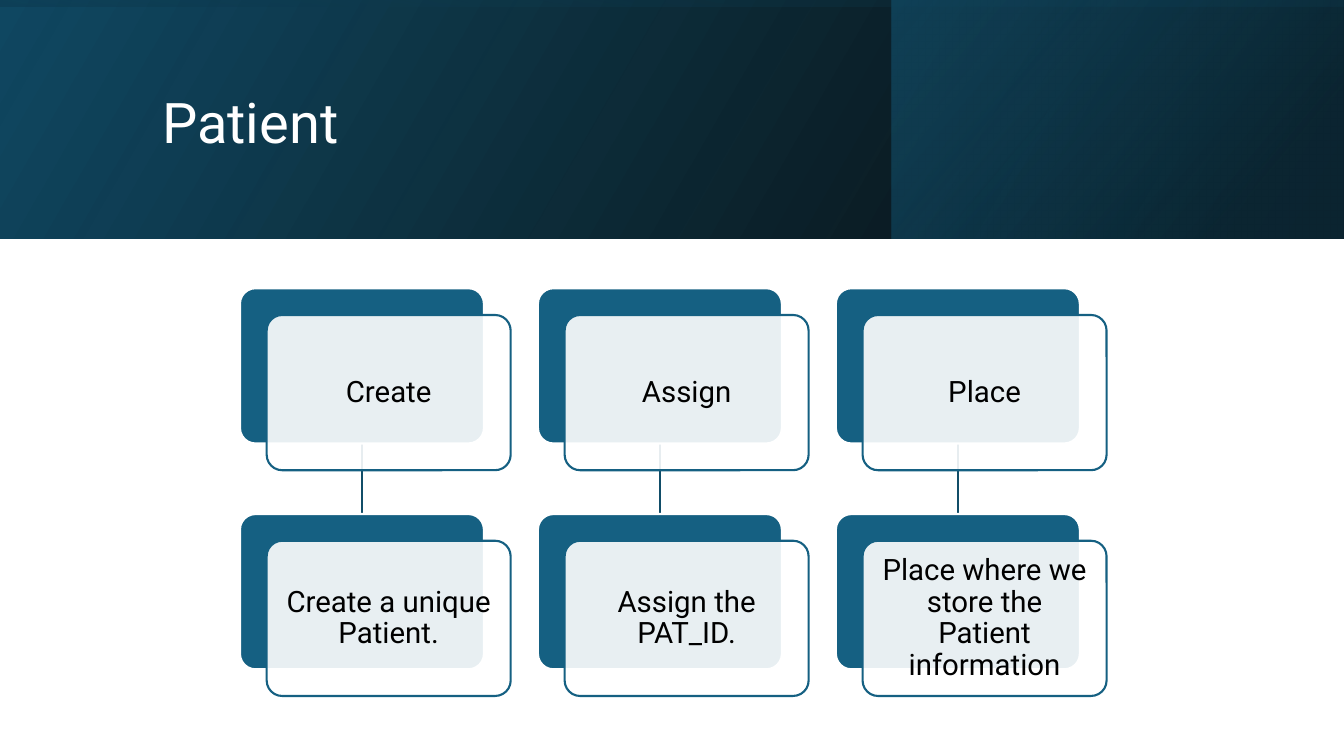
from dataclasses import dataclass

from lxml.etree import SubElement
from pptx import Presentation
from pptx.dml.color import RGBColor
from pptx.enum.shapes import MSO_CONNECTOR, MSO_SHAPE
from pptx.enum.text import MSO_ANCHOR, MSO_AUTO_SIZE, PP_ALIGN
from pptx.oxml.ns import qn
from pptx.util import Inches, Pt

BLUE, WHITE, LINK = "156082", "FFFFFF", "114D68"
CARD_W, CARD_H = 2.42, 1.54
LEFT, COLUMN_STEP = 2.38, 2.955
TOP, ROW_STEP = 2.86, 2.24
OFFSET = 0.265


@dataclass
class Stop:
    position: float
    color: str
    opacity: int


@dataclass
class Band:
    box: tuple[float, float, float, float]
    stops: tuple[Stop, Stop]
    angle: int  # clockwise degrees
    rotation: int = 0


@dataclass
class Step:
    name: str
    detail: str


BANDS = [
    Band((0, 0, 13.33, 2.37), (Stop(0, "000000", 96), Stop(1, "104862", 100)), 330),
    Band((8.84, 0, 4.48, 2.37), (Stop(0.19, "0B3041", 68), Stop(1, BLUE, 48)), 320),
    Band((5.48, -5.48, 2.37, 13.33),
         (Stop(0.23, "104862", 16), Stop(0.99, "000000", 45)), 350, 270),
]
STEPS = [
    Step("Create", "Create a unique Patient."),
    Step("Assign", "Assign the PAT_ID."),
    Step("Place", "Place where we store the Patient information"),
]


def rgb(color: str) -> RGBColor:
    return RGBColor.from_string(color)


def set_opacity(s, *percents: int) -> None:
    """Give the fill colours of a shape, in order, their opacity."""
    colors = list(s._element.spPr.iter(qn("a:srgbClr")))
    for color, percent in zip(colors, percents):
        SubElement(color, qn("a:alpha")).set("val", str(percent * 1000))


def write(s, text: str, *, size: float, color: str, align=PP_ALIGN.LEFT,
          inset: float = 0.1) -> None:
    tf = s.text_frame
    tf.word_wrap = True
    tf.auto_size = MSO_AUTO_SIZE.NONE
    tf.vertical_anchor = MSO_ANCHOR.MIDDLE
    tf.margin_left = tf.margin_right = Inches(inset)
    p = tf.paragraphs[0]
    p.alignment = align
    p.line_spacing = 0.9
    r = p.add_run()
    r.text = text
    r.font.name = "Roboto"
    r.font.size = Pt(size)
    r.font.color.rgb = rgb(color)


def add_band(slide, band: Band) -> None:
    s = slide.shapes.add_shape(MSO_SHAPE.RECTANGLE, *map(Inches, band.box))
    s.shadow.inherit = False
    s.line.fill.background()
    s.rotation = band.rotation
    s._element.spPr.find(qn("a:xfrm")).set("flipH", "1")
    s.fill.gradient()
    s.fill.gradient_angle = 360 - band.angle
    for target, stop in zip(s.fill.gradient_stops, band.stops):
        target.position = stop.position
        target.color.rgb = rgb(stop.color)
    set_opacity(s, *(stop.opacity for stop in band.stops))


def add_card(slide, left: float, top: float, fill: str, line: str, opacity: int = 100):
    s = slide.shapes.add_shape(MSO_SHAPE.ROUNDED_RECTANGLE,
                               *map(Inches, (left, top, CARD_W, CARD_H)))
    s.adjustments[0] = 0.1
    s.shadow.inherit = False
    s.fill.solid()
    s.fill.fore_color.rgb = rgb(fill)
    set_opacity(s, opacity)
    s.line.color.rgb = rgb(line)
    s.line.width = Pt(1.5)
    return s


def add_link(slide, upper, lower) -> None:
    """Join two cards with a line lying behind both."""
    c = slide.shapes.add_connector(MSO_CONNECTOR.STRAIGHT, 0, 0, 0, 0)
    c.begin_connect(upper, 2)
    c.end_connect(lower, 0)
    c.line.color.rgb = rgb(LINK)
    c.line.width = Pt(1.5)
    SubElement(c._element.spPr, qn("a:effectLst"))
    upper._element.addprevious(c._element)


def add_step(slide, left: float, step: Step) -> None:
    backs = []
    for row, text in enumerate((step.name, step.detail)):
        top = TOP + row * ROW_STEP
        backs.append(add_card(slide, left, top, BLUE, WHITE))
        front = add_card(slide, left + OFFSET, top + OFFSET, WHITE, BLUE, 90)
        write(front, text, size=21, color="000000", align=PP_ALIGN.CENTER, inset=0.13)
    add_link(slide, *backs)


def main() -> None:
    prs = Presentation()
    prs.slide_width, prs.slide_height = Inches(13.33), Inches(7.5)
    slide = prs.slides.add_slide(prs.slide_layouts[5])
    for band in BANDS:
        add_band(slide, band)

    title = slide.shapes.title
    title.left, title.top, title.width, title.height = map(Inches, (1.51, 0.38, 10.63, 1.72))
    write(title, "Patient", size=40, color=WHITE)
    slide.shapes._spTree.append(title._element)  # in front of the bands

    for column, step in enumerate(STEPS):
        add_step(slide, LEFT + column * COLUMN_STEP, step)
    prs.save("out.pptx")


if __name__ == "__main__":
    main()
